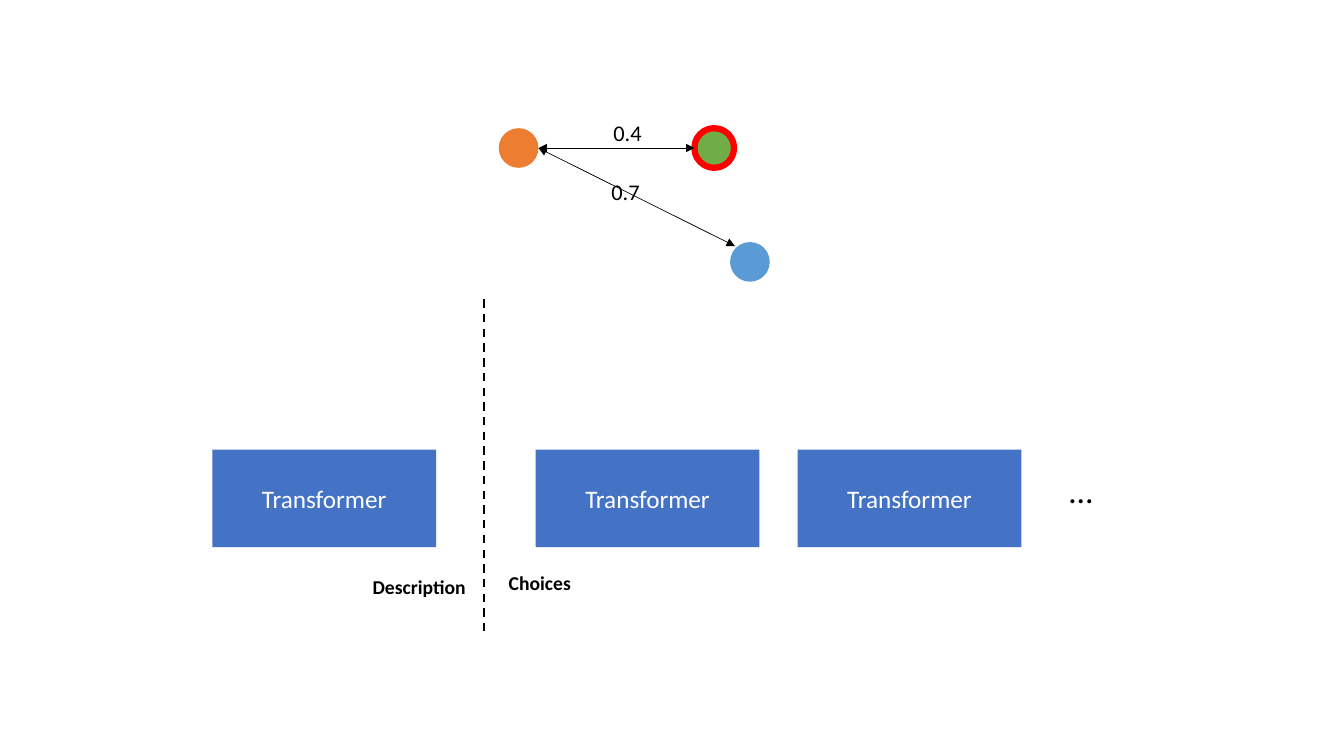
from pptx import Presentation
from pptx.dml.color import RGBColor
from pptx.enum.dml import MSO_LINE_DASH_STYLE as Dash
from pptx.enum.shapes import MSO_CONNECTOR as Connector, MSO_SHAPE as Shape
from pptx.enum.text import MSO_ANCHOR as Anchor, MSO_AUTO_SIZE as AutoSize, PP_ALIGN as Align
from pptx.oxml.ns import qn
from pptx.util import Cm, Pt
from lxml.etree import SubElement

BLACK = RGBColor(0x00, 0x00, 0x00)
WHITE = RGBColor(0xFF, 0xFF, 0xFF)
BLUE = RGBColor(0x44, 0x72, 0xC4)
ORANGE = RGBColor(0xED, 0x7D, 0x31)
LIGHT_BLUE = RGBColor(0x5B, 0x9B, 0xD5)
GREEN = RGBColor(0x70, 0xAD, 0x47)
RED = RGBColor(0xFF, 0x00, 0x00)

FONT = "Calibri"
NODE_SIZE = 1


def write(frame, text, size, color, bold=False):
    """Set the text of a frame and format its run."""
    frame.text = text
    font = frame.paragraphs[0].runs[0].font
    font.name, font.size, font.bold = FONT, Pt(size), bold
    font.color.rgb = color


def add_solid(slide, kind, left, top, width, height, fill):
    """Add a flat filled shape without an outline."""
    solid = slide.shapes.add_shape(kind, Cm(left), Cm(top), Cm(width), Cm(height))
    solid.shadow.inherit = False
    solid.fill.solid()
    solid.fill.fore_color.rgb = fill
    solid.line.fill.background()
    return solid


def add_transformer(slide, left):
    """Add one labelled transformer block."""
    block = add_solid(slide, Shape.RECTANGLE, left, 11.33, 5.64, 2.46, BLUE)
    write(block.text_frame, "Transformer", 18, WHITE)
    block.text_frame.vertical_anchor = Anchor.MIDDLE
    block.text_frame.paragraphs[0].alignment = Align.CENTER


def add_embedding(slide, left, top, fill, outline=None):
    """Add an embedding circle, ringed when it is the chosen one."""
    circle = add_solid(slide, Shape.OVAL, left, top, NODE_SIZE, NODE_SIZE, fill)
    if outline is not None:
        circle.line.color.rgb = outline
        circle.line.width = Pt(4.5)


def add_line(slide, start, end, width):
    """Add a straight black line and return it."""
    line = slide.shapes.add_connector(Connector.STRAIGHT, *map(Cm, start + end))
    line.line.color.rgb = BLACK
    line.line.width = Pt(width)
    SubElement(line._element.spPr, qn("a:effectLst"))
    return line


def add_distance_arrow(slide, start, end):
    """Add a thin line with an arrowhead at each end."""
    outline = add_line(slide, start, end, 0.5).line._get_or_add_ln()
    for tag in ("a:headEnd", "a:tailEnd"):
        SubElement(outline, qn(tag), type="triangle")


def add_label(slide, text, left, top, width, height, size, bold=False):
    """Add a free-standing text label."""
    label = slide.shapes.add_textbox(Cm(left), Cm(top), Cm(width), Cm(height))
    write(label.text_frame, text, size, BLACK, bold)
    label.text_frame.word_wrap = True
    label.text_frame.auto_size = AutoSize.SHAPE_TO_FIT_TEXT


def main():
    """Build the slide and save it."""
    deck = Presentation()
    deck.slide_width, deck.slide_height = Cm(33.87), Cm(19.05)
    slide = deck.slides.add_slide(deck.slide_layouts[6])

    for left in (5.35, 13.6 - 0.1, 20.1):
        add_transformer(slide, left)

    add_embedding(slide, 12.57, 3.23, ORANGE)
    add_embedding(slide, 18.4, 6.1, LIGHT_BLUE)
    add_embedding(slide, 17.5, 3.23, GREEN, RED)

    description_edge = (12.57 + NODE_SIZE, 3.23 + NODE_SIZE / 2)
    for choice_edge, distance, left, top in (
        ((17.5, 3.73), "0.4", 15.21, 2.87),
        ((18.52, 6.2), "0.7", 15.16, 4.37),
    ):
        add_distance_arrow(slide, description_edge, choice_edge)
        add_label(slide, distance, left, top, 1.32, 0.94, 16)

    divider = add_line(slide, (12.19, 7.54), (12.19, 15.9), 1.5)
    divider.line.dash_style = Dash.DASH
    add_label(slide, "Description", 9.14, 14.35, 3.68, 0.86, 14, bold=True)
    add_label(slide, "…", 26.7, 11.71, 2.92, 1.27, 24)
    add_label(slide, "Choices", 12.57, 14.27, 3.68, 0.86, 14, bold=True)

    deck.save("out.pptx")


if __name__ == "__main__":
    main()
